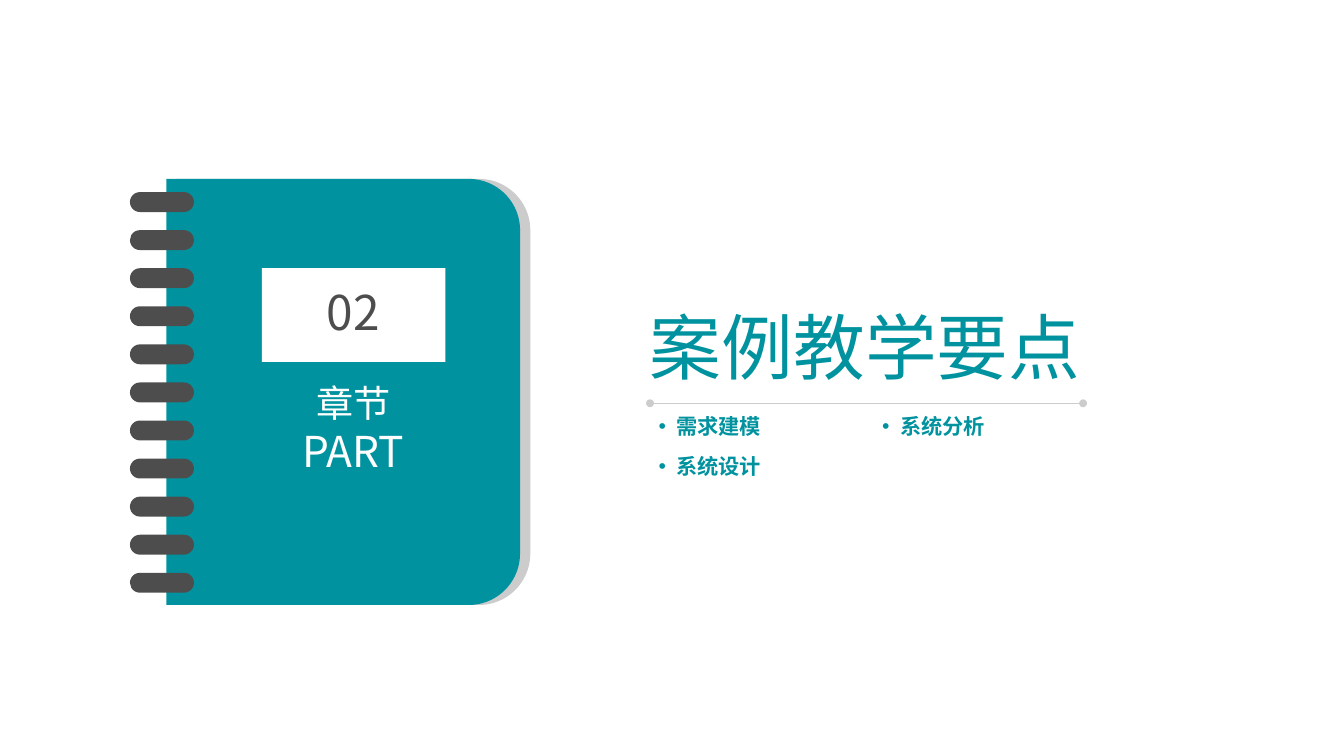
from dataclasses import dataclass
from lxml.etree import SubElement
from pptx import Presentation
from pptx.dml.color import RGBColor as RGB
from pptx.enum.shapes import MSO_CONNECTOR as LINE, MSO_SHAPE as SHAPE
from pptx.enum.text import PP_ALIGN as ALIGN
from pptx.oxml.ns import qn
from pptx.util import Pt


@dataclass(frozen=True)
class Theme:
    """Colours, fonts and type sizes of the slide."""
    teal: RGB = RGB.from_string("00939F")
    gray: RGB = RGB.from_string("CCCCCC")
    dark: RGB = RGB.from_string("4D4D4D")
    white: RGB = RGB.from_string("FFFFFF")
    sans: str = "Arial"
    noto: str = "Noto Sans CJK SC"
    title: int = 54
    number: int = 36
    latin: int = 32
    label: int = 28
    item: int = 16


THEME = Theme()


def add_block(slide, kind, left, top, width, height, color):
    """Add a plain filled shape."""
    shape = slide.shapes.add_shape(kind, Pt(left), Pt(top), Pt(width), Pt(height))
    shape.shadow.inherit = False
    shape.fill.solid()
    shape.fill.fore_color.rgb = color
    shape.line.fill.background()
    return shape


def add_cover(slide, left, top, width, height, color):
    """Add a book cover whose right corners are round."""
    shift = (height - width) / 2
    cover = add_block(slide, SHAPE.ROUND_2_SAME_RECTANGLE,
                      left - shift, top + shift, height, width, color)
    cover.rotation = 90
    cover.adjustments[0] = 0.145


def add_rings(slide, count, left, top, step):
    """Add the evenly spaced binding rings."""
    for row in range(count):
        ring = add_block(slide, SHAPE.ROUNDED_RECTANGLE,
                         left, top + row * step, 48.2, 15, THEME.dark)
        ring.adjustments[0] = 0.5


def add_text(slide, left, top, width, height, lines, color, font,
             align=ALIGN.LEFT, bold=False, bullet=False):
    """Add a text box with one paragraph per (text, size) pair."""
    box = slide.shapes.add_textbox(Pt(left), Pt(top), Pt(width), Pt(height))
    frame = box.text_frame
    frame.word_wrap = True
    frame.margin_left = frame.margin_right = 0
    frame.margin_top = frame.margin_bottom = 0
    for row, (text, size) in enumerate(lines):
        para = frame.add_paragraph() if row else frame.paragraphs[0]
        para.text = text
        para.alignment = align
        if bullet:
            add_bullet(para)
        face = para.font
        face.size, face.bold, face.name = Pt(size), bold, font
        face.color.rgb = color
        SubElement(face._element, qn("a:ea"), typeface=THEME.noto)


def add_bullet(para):
    """Give a paragraph a hanging bullet."""
    props = para._p.get_or_add_pPr()
    props.set("marL", str(Pt(13.5)))
    props.set("indent", str(-Pt(13.5)))
    SubElement(props, qn("a:buFont"), typeface=THEME.sans)
    SubElement(props, qn("a:buChar"), char="•")


def add_rule(slide, left, right, top):
    """Add a thin line with a dot at each end."""
    rule = slide.shapes.add_connector(LINE.STRAIGHT, Pt(left), Pt(top), Pt(right), Pt(top))
    rule.line.color.rgb = THEME.gray
    rule.line.width = Pt(1)
    for end in ("a:headEnd", "a:tailEnd"):
        SubElement(rule.line._get_or_add_ln(), qn(end), type="oval")
    SubElement(rule._element.spPr, qn("a:effectLst"))


def add_items(slide, items, left, top, columns=2):
    """Lay out bulleted items in a grid, row by row."""
    for spot, item in enumerate(items):
        row, col = divmod(spot, columns)
        add_text(slide, left + col * 168.5, top + row * 29.8, 90, 24,
                 [(item, THEME.item)], THEME.teal, THEME.sans, bold=True, bullet=True)


def main():
    """Build the chapter slide and save it."""
    deck = Presentation()
    deck.slide_width, deck.slide_height = Pt(1012.32), Pt(569.52)
    slide = deck.slides.add_slide(deck.slide_layouts[6])

    add_rule(slide, 489.6, 815.8, 303.8)
    add_text(slide, 489.6, 228, 352, 78, [("案例教学要点", THEME.title)],
             THEME.teal, THEME.sans)
    add_items(slide, ["需求建模", "系统分析", "系统设计"], 496, 311.5)

    for left, color in ((133, THEME.gray), (125.3, THEME.teal)):
        add_cover(slide, left, 134.8, 266.4, 321, color)
    add_block(slide, SHAPE.RECTANGLE, 197.3, 202, 138.2, 70.6, THEME.white)
    add_rings(slide, 11, 97.9, 144.7, 28.68)
    add_text(slide, 201, 213, 130, 52, [("02", THEME.number)],
             THEME.dark, THEME.noto, ALIGN.CENTER)
    add_text(slide, 211.5, 286.5, 109, 87,
             [("章节", THEME.label), ("PART", THEME.latin)],
             THEME.white, THEME.noto, ALIGN.CENTER)
    deck.save("out.pptx")


if __name__ == "__main__":
    main()
